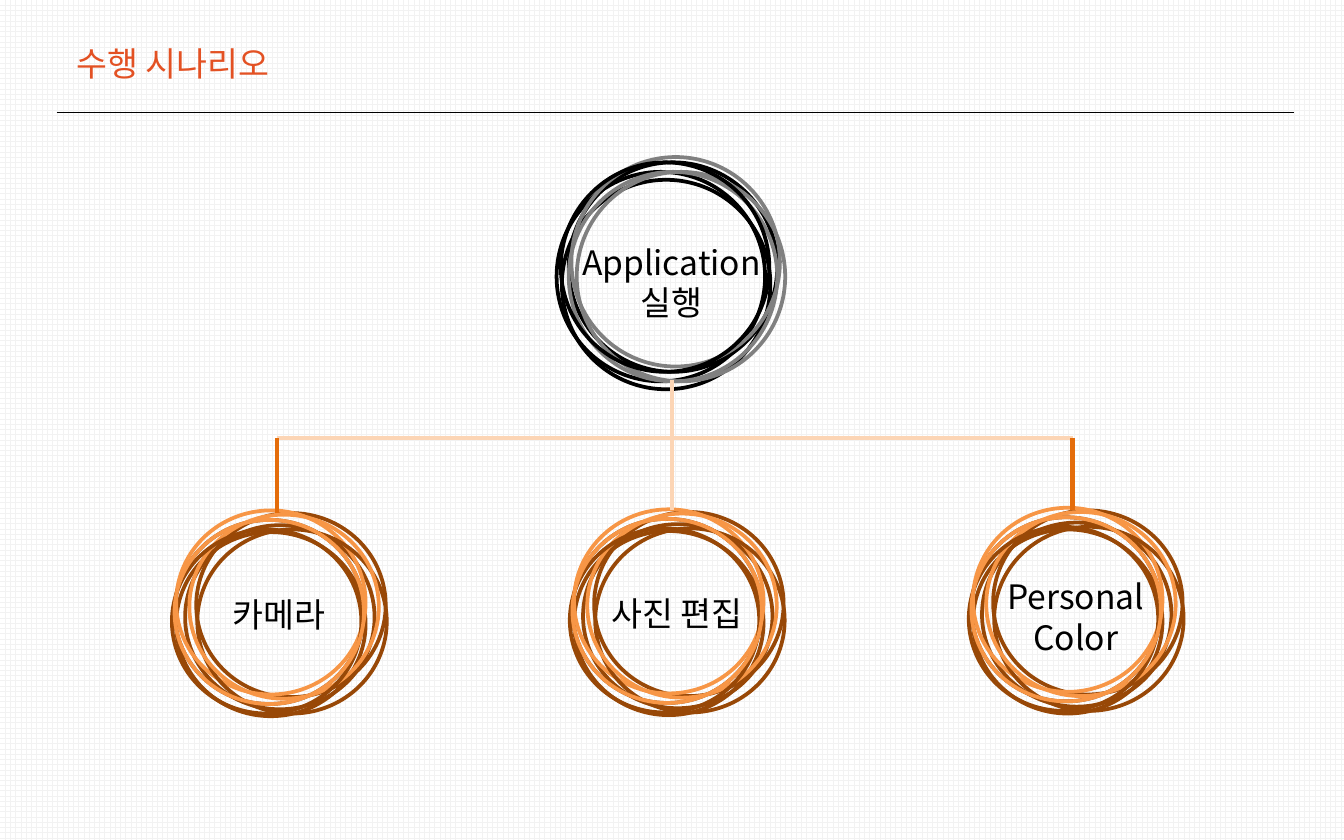
from dataclasses import dataclass

from lxml import etree
from pptx import Presentation, util as u
from pptx.dml.color import RGBColor
from pptx.enum import dml, shapes, text
from pptx.oxml.ns import qn


@dataclass(frozen=True)
class Theme:
    font: str = "Noto Sans CJK KR"
    text_size: float = 18
    ring_width: float = 2
    branch_width: float = 2.25
    rule_width: float = 0.75
    title: str = "E35123"
    ink: str = "000000"
    gray: str = "808080"
    brown: str = "984807"
    orange: str = "F79646"
    stem: str = "E46C0A"
    peach: str = "FCD5B5"
    grid: str = "F2F2F2"
    paper: str = "FFFFFF"


THEME = Theme()


@dataclass(frozen=True)
class Ring:
    dx: float
    dy: float
    color: str


@dataclass(frozen=True)
class Sketch:
    width: float
    height: float
    label_center: float
    rings: tuple[Ring, ...]


@dataclass(frozen=True)
class Step:
    label: str
    left: float
    top: float
    label_dy: float
    label_width: float
    label_height: float
    sketch: Sketch


@dataclass(frozen=True)
class Line:
    x1: float
    y1: float
    x2: float
    y2: float
    color: str
    width: float


START = Sketch(3.94, 3.96, 2.17, (
    Ring(0.10, 0.43, THEME.ink),
    Ring(0.23, 0.10, THEME.ink),
    Ring(0, 0.28, THEME.ink),
    Ring(0.28, 0, THEME.gray),
    Ring(0.23, 0.28, THEME.gray),
    Ring(0.38, 0.28, THEME.gray),
    Ring(0.08, 0.10, THEME.ink),
))
FEATURE = Sketch(3.58, 3.48, 2.02, (
    Ring(0.25, 0.28, THEME.brown),
    Ring(0.46, 0.05, THEME.brown),
    Ring(0.05, 0.18, THEME.brown),
    Ring(0.08, 0.41, THEME.brown),
    Ring(0.08, 0, THEME.orange),
    Ring(0.48, 0.36, THEME.brown),
    Ring(0.33, 0.08, THEME.orange),
    Ring(0, 0.36, THEME.brown),
    Ring(0.05, 0.18, THEME.orange),
))

STEPS = (
    Step("Application\n실행", 10.52, 2.97, 1.47, 4.6, 1.8, START),
    Step("카메라", 3.25, 9.65, 1.45, 2.69, 1.02, FEATURE),
    Step("Personal\nColor", 18.31, 9.6, 1.17, 3.1, 1.8, FEATURE),
    Step("사진 편집", 10.77, 9.63, 1.45, 3.1, 1.02, FEATURE),
)

LEFT_X, MIDDLE_X, RIGHT_X, BRANCH_Y = 5.23, 12.7, 20.27, 8.28
BACK_LINES = (
    Line(LEFT_X, BRANCH_Y, RIGHT_X, BRANCH_Y, THEME.peach, THEME.branch_width),
    Line(1.07, 2.13, 24.46, 2.13, THEME.ink, THEME.rule_width),
)
STEMS = (
    Line(RIGHT_X, 9.65, RIGHT_X, BRANCH_Y, THEME.stem, THEME.branch_width),
    Line(LEFT_X, 9.7, LEFT_X, BRANCH_Y, THEME.stem, THEME.branch_width),
    Line(MIDDLE_X, 9.65, MIDDLE_X, 7.19, THEME.peach, THEME.branch_width),
)


def rgb(color: str) -> RGBColor:
    return RGBColor.from_string(color)


def draw_line(parent, line: Line) -> None:
    connector = parent.add_connector(
        shapes.MSO_CONNECTOR.STRAIGHT,
        u.Cm(line.x1), u.Cm(line.y1), u.Cm(line.x2), u.Cm(line.y2))
    connector.line.color.rgb = rgb(line.color)
    connector.line.width = u.Pt(line.width)
    etree.SubElement(connector._element.spPr, qn("a:effectLst"))


def draw_text(parent, words: str, left: float, top: float, width: float,
              height: float, color: str, align, wrap: bool) -> None:
    box = parent.add_textbox(u.Cm(left), u.Cm(top), u.Cm(width), u.Cm(height))
    frame = box.text_frame
    frame.word_wrap = wrap
    frame.auto_size = text.MSO_AUTO_SIZE.SHAPE_TO_FIT_TEXT
    paragraph = frame.paragraphs[0]
    paragraph.text = words
    paragraph.alignment = align
    for run in paragraph.runs:
        run.font.size = u.Pt(THEME.text_size)
        run.font.color.rgb = rgb(color)
        run.font.name = THEME.font
        etree.SubElement(run.font._element, qn("a:ea"), typeface=THEME.font)


def draw_step(parent, step: Step) -> None:
    group = parent.add_group_shape().shapes
    sketch = step.sketch
    for ring in sketch.rings:
        oval = group.add_shape(
            shapes.MSO_SHAPE.OVAL,
            u.Cm(step.left + ring.dx), u.Cm(step.top + ring.dy),
            u.Cm(sketch.width), u.Cm(sketch.height))
        oval.shadow.inherit = False
        oval.fill.background()
        oval.line.color.rgb = rgb(ring.color)
        oval.line.width = u.Pt(THEME.ring_width)
    draw_text(group, step.label,
              step.left + sketch.label_center - step.label_width / 2,
              step.top + step.label_dy, step.label_width, step.label_height,
              THEME.ink, text.PP_ALIGN.CENTER, True)


def main() -> None:
    deck = Presentation()
    deck.slide_width, deck.slide_height = u.Cm(25.4), u.Cm(15.88)
    slide = deck.slides.add_slide(deck.slide_layouts[6])
    backdrop = slide.background.fill
    backdrop.patterned()
    backdrop.pattern = dml.MSO_PATTERN.LARGE_GRID
    backdrop.fore_color.rgb = rgb(THEME.grid)
    backdrop.back_color.rgb = rgb(THEME.paper)

    for line in BACK_LINES:
        draw_line(slide.shapes, line)
    draw_text(slide.shapes, "수행 시나리오", 1.19, 0.69, 4.27, 1.02,
              THEME.title, text.PP_ALIGN.LEFT, False)
    for step in STEPS:
        draw_step(slide.shapes, step)
    for stem in STEMS:
        draw_line(slide.shapes, stem)
    deck.save("out.pptx")


if __name__ == "__main__":
    main()
